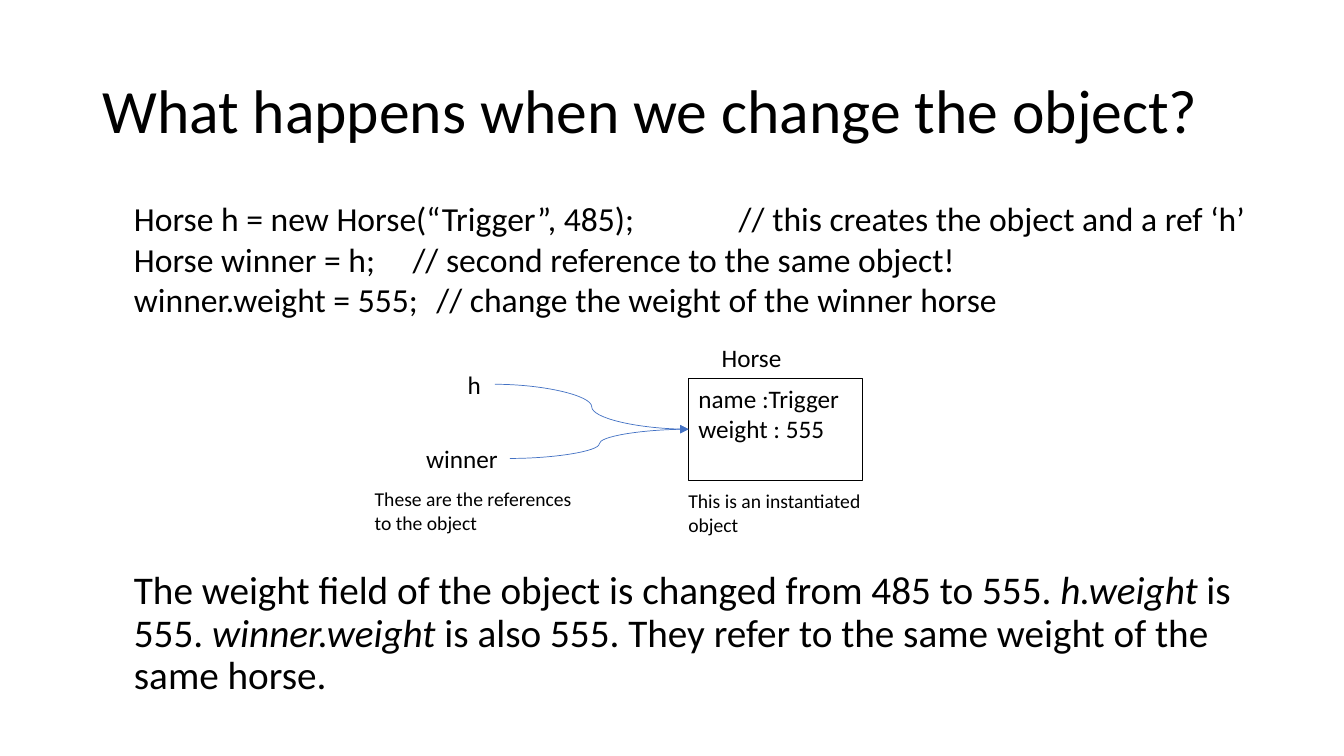
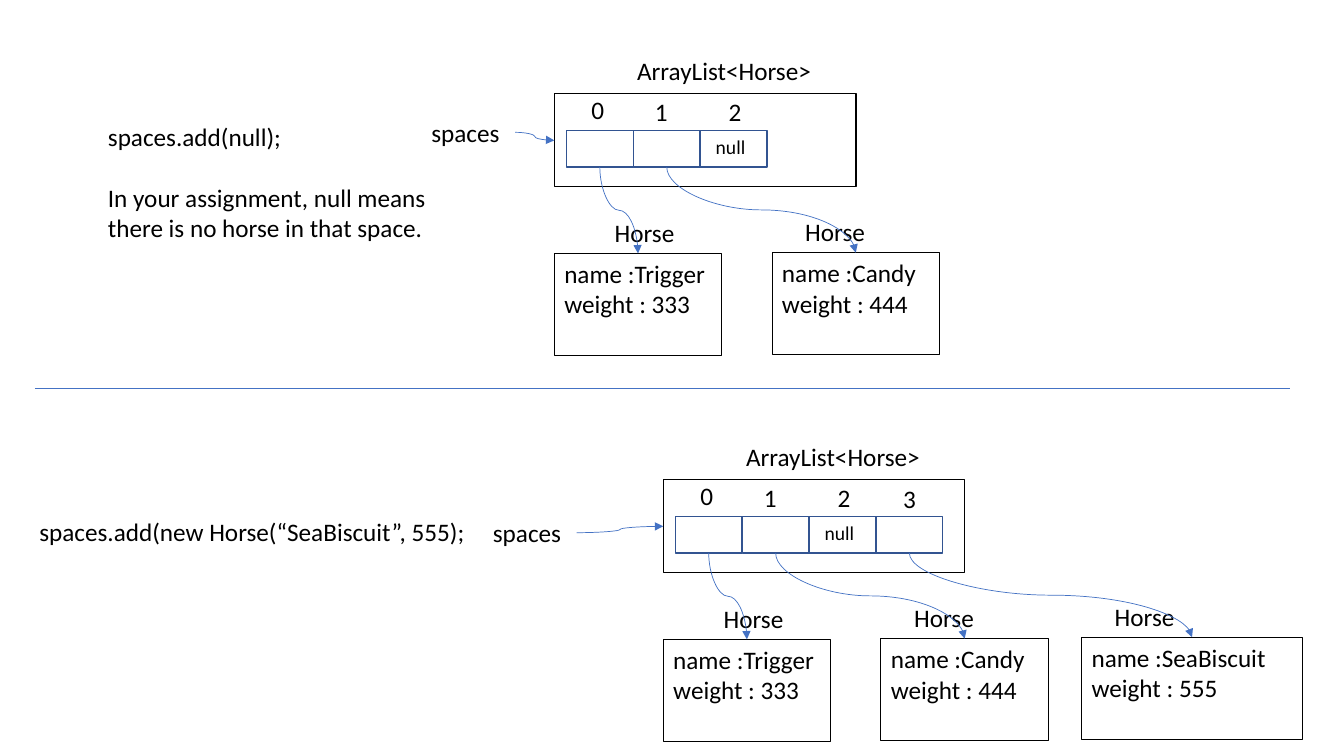
from lxml.etree import SubElement
from pptx import Presentation
from pptx.dml.color import RGBColor
from pptx.enum.shapes import MSO_CONNECTOR, MSO_SHAPE
from pptx.enum.text import MSO_ANCHOR, PP_ALIGN
from pptx.oxml.ns import qn
from pptx.util import Pt


def color(hex_code):
    return RGBColor.from_string(hex_code)


class Deck:
    FONT = "Calibri"
    INK = "000000"
    ARROW = "4472C4"
    CELL = "325491"
    BODY = 18
    NOTE = 14

    def __init__(self):
        self.presentation = Presentation()
        self.presentation.slide_width = Pt(960)
        self.presentation.slide_height = Pt(540)
        self.slide = None

    def new_slide(self):
        blank = self.presentation.slide_layouts[6]
        self.slide = self.presentation.slides.add_slide(blank)

    def set_lines(self, shape, lines, size, anchor=MSO_ANCHOR.TOP, spacing=None):
        """A line is a string, or a tuple whose every second part is italic."""
        frame = shape.text_frame
        frame.word_wrap = True
        frame.vertical_anchor = anchor
        for number, line in enumerate(lines):
            paragraph = frame.add_paragraph() if number else frame.paragraphs[0]
            paragraph.alignment = PP_ALIGN.LEFT
            if spacing:
                paragraph.line_spacing = spacing
            if isinstance(line, str):
                paragraph.text = line
            else:
                for index, part in enumerate(line):
                    run = paragraph.add_run()
                    run.text = part
                    run.font.italic = index % 2 == 1
            for run in paragraph.runs:
                run.font.name = self.FONT
                run.font.size = Pt(size)
                run.font.color.rgb = color(self.INK)

    def text(self, x, y, width, height, *lines, size=BODY, **style):
        box = self.slide.shapes.add_textbox(Pt(x), Pt(y), Pt(width), Pt(height))
        self.set_lines(box, lines, size, **style)
        return box

    def title(self, wording):
        return self.text(66, 29, 828, 104.4, wording, size=44,
                         anchor=MSO_ANCHOR.MIDDLE, spacing=0.9)

    def box(self, x, y, width, height, *lines, line=INK, weight=0.75):
        box = self.slide.shapes.add_shape(
            MSO_SHAPE.RECTANGLE, Pt(x), Pt(y), Pt(width), Pt(height))
        box.shadow.inherit = False
        box.fill.background()
        box.line.color.rgb = color(line)
        box.line.width = Pt(weight)
        self.set_lines(box, lines, self.BODY)
        return box

    def tab_stop(self, paragraph, position):
        stops = SubElement(paragraph._p.get_or_add_pPr(), qn("a:tabLst"))
        SubElement(stops, qn("a:tab"), pos=str(Pt(position)), algn="l")

    def line(self, kind, x1, y1, x2, y2):
        line = self.slide.shapes.add_connector(kind, x1, y1, x2, y2)
        line.line.color.rgb = color(self.ARROW)
        line.line.width = Pt(0.5)
        SubElement(line._element.spPr, qn("a:effectLst"))
        return line

    def arrow(self, source, target, down=False):
        """Curve from right to left side, or from bottom to top side."""
        if down:
            x1, y1 = source.left + source.width // 2, source.top + source.height
            x2, y2 = target.left + target.width // 2, target.top
        else:
            x1, y1 = source.left + source.width, source.top + source.height // 2
            x2, y2 = target.left, target.top + target.height // 2
        curve = self.line(MSO_CONNECTOR.CURVE, x1, y1, x2, y2)
        if down:
            # Turn the curve so that it leaves and arrives vertically
            run, drop = x2 - x1, y2 - y1
            curve.left, curve.top = (x1 + x2 - drop) // 2, (y1 + y2 - run) // 2
            curve.width, curve.height = drop, run
            frame = curve._element.spPr.find(qn("a:xfrm"))
            frame.set("rot", "16200000")
            frame.set("flipH", "1")
        outline = curve._element.spPr.find(qn("a:ln"))
        SubElement(outline, qn("a:tailEnd"), type="triangle")

    def horse(self, x, y, width, name, weight, label_x):
        self.text(x + label_x, y - 29.2, 77, 29, "Horse")
        return self.box(x, y, width, 72.8, f"name :{name}", f"weight : {weight}")

    def array_list(self, x, y, label_x, label_y, slots):
        """Each slot is None or the arguments of the horse it refers to."""
        array = self.box(x, y, 215.5, 66.5)
        self.text(x + 52, y - 31.3, 140, 29, "ArrayList<Horse>")
        self.arrow(self.text(label_x, label_y, 67, 29, "spaces"), array)
        index_places = [(19.4, -2.9), (64.8, -1.4), (117.4, -1.4), (164.2, -0.7)]
        pitch = 47.75
        for index, (slot, (dx, dy)) in enumerate(zip(slots, index_places)):
            cell_x = x + 8.6 + index * pitch
            cell = self.box(cell_x, y + 26.2, pitch, 26.2, line=self.CELL, weight=1)
            self.text(x + dx, y + dy, 22, 29, str(index))
            if slot:
                horse_x, horse_y, *details = slot
                horse = self.horse(x + horse_x, y + horse_y, *details)
                self.arrow(cell, horse, down=True)
            else:
                self.text(cell_x + 4, y + 26, 38, 24, "null", size=self.NOTE)


def change_slide(deck):
    deck.new_slide()
    deck.title("What happens when we change the object?")

    # Code with aligned comments
    code = deck.text(
        88.6, 138.2, 828, 117,
        "Horse h = new Horse(“Trigger”, 485);\t// this creates the object and a ref ‘h’",
        "Horse winner = h;\t// second reference to the same object!",
        "winner.weight = 555;\t// change the weight of the winner horse",
        size=24)
    for paragraph, position in zip(code.text_frame.paragraphs, (432, 199, 216)):
        deck.tab_stop(paragraph, position)

    # Two references to one object
    trigger = deck.horse(491.8, 270.2, 124, "Trigger", 555, 16.6)
    h = deck.text(327, 260, 26.5, 29, "h")
    winner = deck.text(297.3, 313, 67, 29, "winner")
    for reference in (h, winner):
        deck.arrow(reference, trigger)
    deck.text(484.6, 345.8, 160, 41, "This is an instantiated object",
              size=deck.NOTE)
    deck.text(260.6, 344.3, 160, 41, "These are the references",
              "to the object", size=deck.NOTE)

    # Conclusion
    deck.text(
        88.6, 401, 828, 104.4,
        ("The weight field of the object is changed from 485 to 555. ",
         "h.weight ", "is 555. ", "winner.weight ",
         "is also 555. They refer to the same weight of the same horse."),
        size=28, anchor=MSO_ANCHOR.MIDDLE, spacing=0.9)


def list_slide(deck):
    deck.new_slide()
    trigger = (0, 114, 119.5, "Trigger", 333, 36)
    candy = (155.5, 113.5, 119.5, "Candy", 444, 16.6)
    sea_biscuit = (298.8, 112.5, 157.7, "SeaBiscuit", 555, 16.6)

    # Adding null
    null_code = deck.text(70, 82.8, 245, 94, "spaces.add(null);",
                          "In your assignment, null means",
                          "there is no horse in that space.")
    null_code.text_frame.paragraphs[1].space_before = Pt(22)
    deck.array_list(396, 67, 301, 80, [trigger, candy, None])

    # Divider
    deck.line(MSO_CONNECTOR.STRAIGHT, Pt(25), Pt(277.2), Pt(921.6), Pt(277.2))

    # Adding a new horse
    deck.text(21, 365.5, 322, 29, "spaces.add(new Horse(“SeaBiscuit”, 555);")
    deck.array_list(473.8, 342.7, 345, 366, [trigger, candy, None, sea_biscuit])


def main():
    deck = Deck()
    change_slide(deck)
    list_slide(deck)
    deck.presentation.save("out.pptx")


if __name__ == "__main__":
    main()
